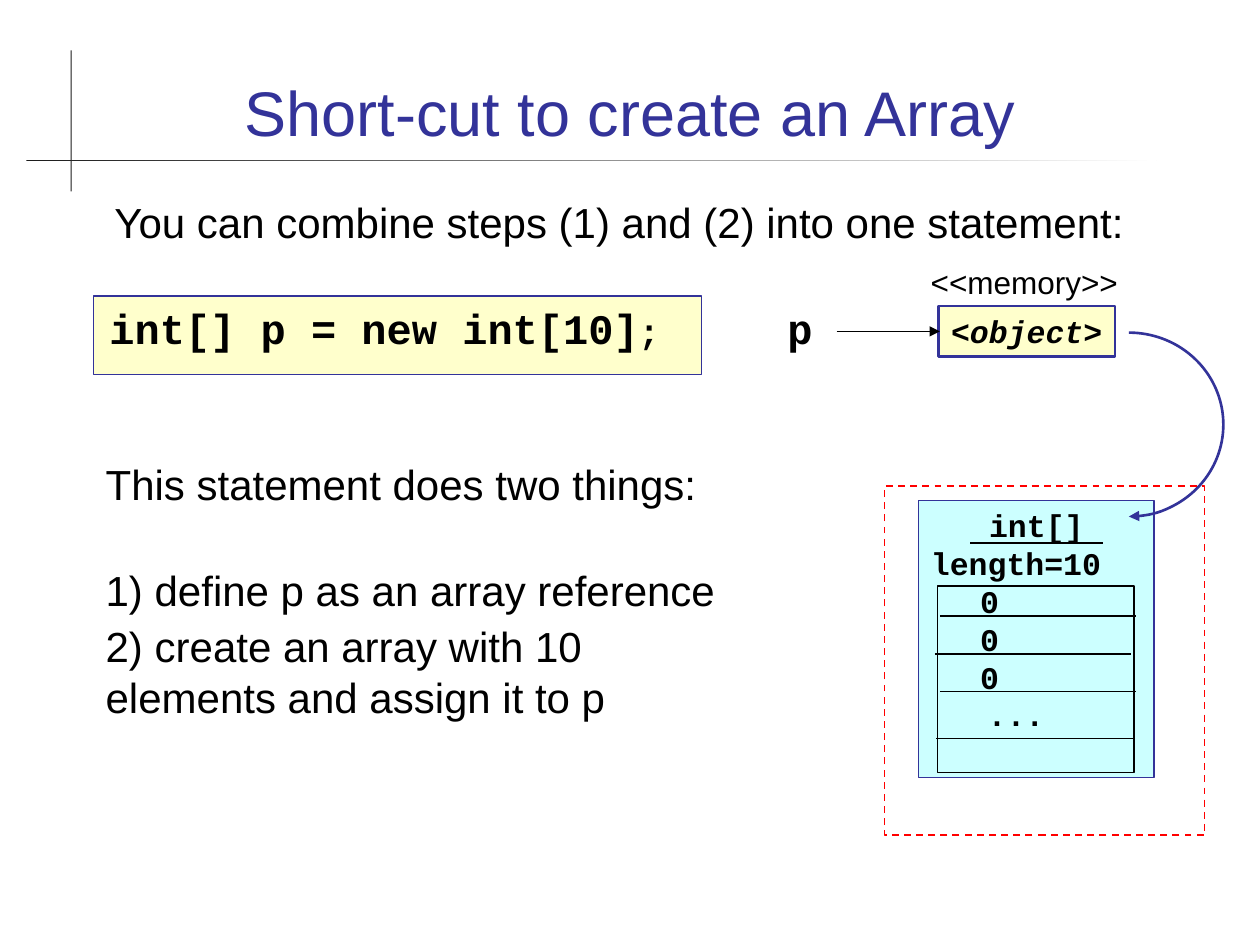
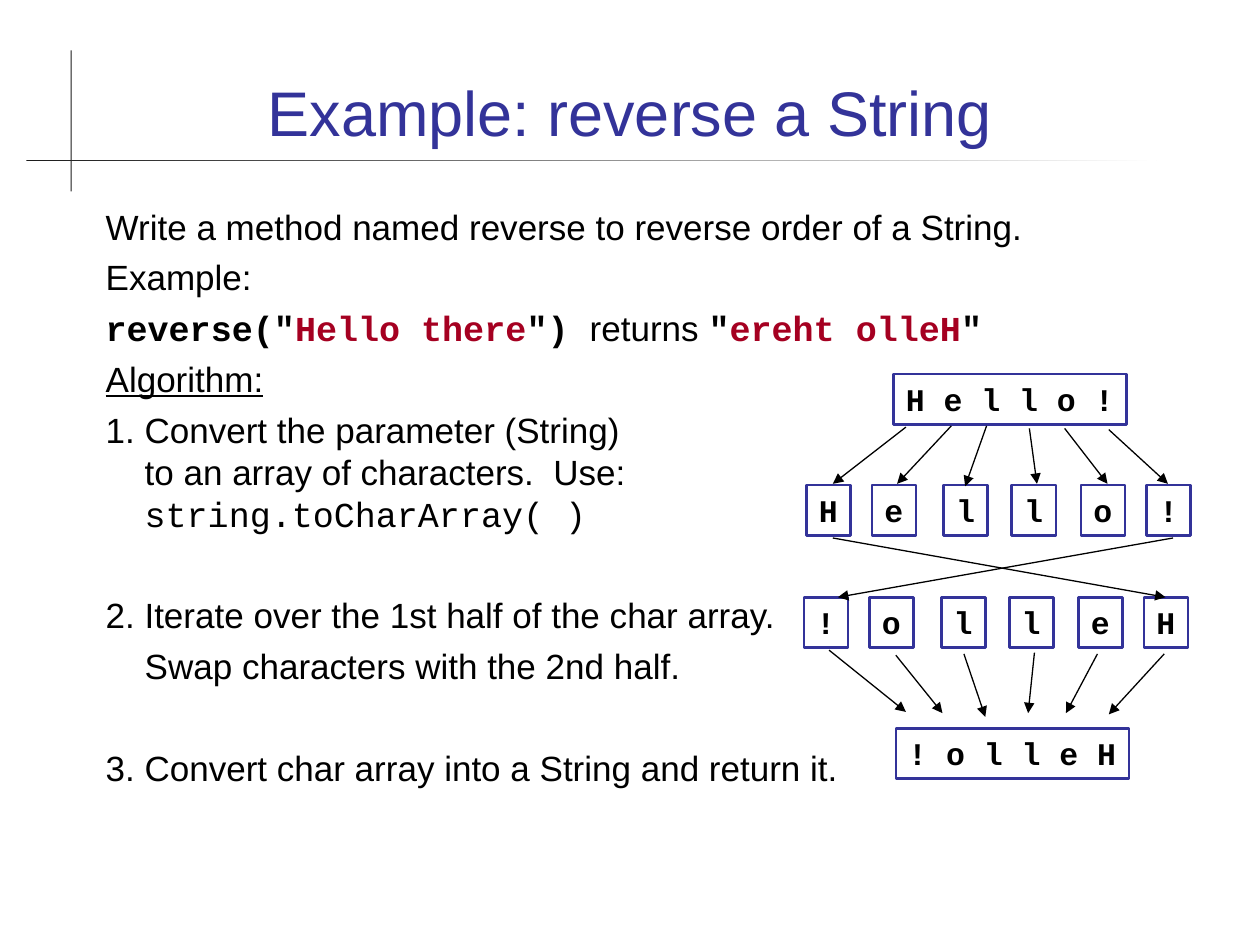
import pptx
import pptx.dml.color
import pptx.enum.dml
import pptx.enum.shapes
import pptx.enum.text
import pptx.oxml
import pptx.oxml.ns
import pptx.util
from pptx.util import Inches

RGBColor = pptx.dml.color.RGBColor
BLACK = RGBColor(0x00, 0x00, 0x00)
WHITE = RGBColor(0xFF, 0xFF, 0xFF)
CHARCOAL = RGBColor(0x1C, 0x1C, 0x1C)
INDIGO = RGBColor(0x33, 0x33, 0x99)
CREAM = RGBColor(0xFF, 0xFF, 0xCC)
CYAN = RGBColor(0xCC, 0xFF, 0xFF)
RED = RGBColor(0xFF, 0x00, 0x00)
CRIMSON = RGBColor(0xA5, 0x00, 0x21)

SHAPES = pptx.enum.shapes.MSO_SHAPE
CENTER = pptx.enum.text.PP_ALIGN.CENTER
LEFT = pptx.enum.text.PP_ALIGN.LEFT
TOP = pptx.enum.text.MSO_ANCHOR.TOP
BOTTOM = pptx.enum.text.MSO_ANCHOR.BOTTOM

THIN, THICK = 0.74, 1.5
CODE = {"name": "Courier New", "bold": True}
PLAIN = {"name": "Arial", "bold": False}
CELL_SIZE = (0.35, 0.4)
CELL_LEFTS = (6.4, 6.92, 7.49, 8.03, 8.58, 9.1)


def para(*runs, before=0, margin=0, indent=0, align=LEFT):
    """Describe one paragraph; a run is a string or a (string, format) pair."""
    return {"runs": runs, "margin": margin, "indent": indent,
            "format": {"space_before": pptx.util.Pt(before), "alignment": align}}


def add_run(paragraph, words, style, color):
    """Add formatted words, turning newlines into line breaks."""
    for number, piece in enumerate(words.split("\n")):
        if number:
            paragraph.add_line_break()
        if piece:
            run = paragraph.add_run()
            run.text = piece
            for attribute, value in style.items():
                setattr(run.font, attribute, value)
            run.font.color.rgb = color


def write(shape, paragraphs, size, style=PLAIN, color=BLACK, wrap=True, anchor=TOP):
    """Fill the text frame of a shape with described paragraphs."""
    frame = shape.text_frame
    frame.word_wrap = wrap
    frame.vertical_anchor = anchor
    for number, content in enumerate(paragraphs):
        paragraph = frame.add_paragraph() if number else frame.paragraphs[0]
        for attribute, value in content["format"].items():
            setattr(paragraph, attribute, value)
        properties = paragraph._p.get_or_add_pPr()
        properties.set("marL", str(Inches(content["margin"])))
        properties.set("indent", str(Inches(content["indent"])))
        for run in content["runs"]:
            words, extra = (run, {}) if isinstance(run, str) else run
            look = {"size": pptx.util.Pt(size), **style, **extra}
            run_color = look.pop("color", color)
            add_run(paragraph, words, look, run_color)


def add_text(slide, box, paragraphs, size, **options):
    """Add a text box."""
    write(slide.shapes.add_textbox(*map(Inches, box)), paragraphs, size, **options)


def add_box(slide, box, fill=None, line=None, width=THIN, kind=SHAPES.RECTANGLE):
    """Add a preset shape with optional fill and outline."""
    shape = slide.shapes.add_shape(kind, *map(Inches, box))
    shape.shadow.inherit = False
    if fill is None:
        shape.fill.background()
    else:
        shape.fill.solid()
        shape.fill.fore_color.rgb = fill
    if line is None:
        shape.line.fill.background()
    else:
        shape.line.color.rgb = line
        shape.line.width = pptx.util.Pt(width)
    return shape


def add_arrowhead(shape):
    """Put a triangle at the end of a line."""
    outline = shape.line._get_or_add_ln()
    outline.append(pptx.oxml.parse_xml(
        '<a:tailEnd %s type="triangle"/>' % pptx.oxml.ns.nsdecls("a")))


def add_line(slide, start, end, arrow=False):
    """Add a thin black line, with an arrowhead if wanted."""
    line = slide.shapes.add_connector(
        pptx.enum.shapes.MSO_CONNECTOR.STRAIGHT, *map(Inches, (*start, *end)))
    line.line.color.rgb = BLACK
    line.line.width = pptx.util.Pt(THIN)
    if arrow:
        add_arrowhead(line)
    line._element.spPr.append(pptx.oxml.parse_xml(
        "<a:effectLst %s/>" % pptx.oxml.ns.nsdecls("a")))


def add_slide(deck, title):
    """Add a blank slide with the crossed rules and a title."""
    slide = deck.slides.add_slide(deck.slide_layouts[6])
    add_box(slide, (0.56, 0.4, 0.01, 1.12), CHARCOAL)
    rule = add_box(slide, (0.21, 1.27, 8.97, 0.01), CHARCOAL)
    rule.fill.gradient()
    rule.fill.gradient_angle = 0
    for stop, color in zip(rule.fill.gradient_stops, (CHARCOAL, WHITE)):
        stop.color.rgb = color
    add_text(slide, (0.67, 0.28, 8.66, 0.95), [para(title, align=CENTER)], 36,
             color=INDIGO, anchor=BOTTOM)
    return slide


def add_code_box(slide, box, *runs, fill=WHITE):
    """Add a framed one-line piece of code."""
    write(add_box(slide, box, fill, INDIGO, THICK), [para(*runs)], 18,
          style=CODE, wrap=False)


def add_array_object(slide):
    """Draw the array in memory with its length and elements."""
    array = add_box(slide, (7.29, 3.97, 1.87, 2.2), CYAN, INDIGO)
    elements = [para("0", margin=0.39) for _ in range(3)]
    write(array, [para((" int[] ", {"underline": True}), align=CENTER),
                  para("length=10"), *elements, para("...", margin=0.45)],
          18, style=CODE)
    reference = add_box(slide, (8.21, 2.64, 1.5, 1.46), None, INDIGO, THICK, SHAPES.ARC)
    reference.adjustments[0] = 162  # top of the circle
    reference.adjustments[1] = 54   # bottom of the circle
    add_arrowhead(reference)
    border = add_box(slide, (7.02, 3.86, 2.54, 2.77), None, RED, 0.99)
    border.line.dash_style = pptx.enum.dml.MSO_LINE.DASH


def build_shortcut(deck):
    """Slide on declaring and creating an array in one statement."""
    slide = add_slide(deck, "Short-cut to create an Array")
    statement = add_box(slide, (0.74, 2.35, 4.83, 0.62), CREAM, INDIGO)
    write(statement, [para("int[] p = new int[10]", (";", {"size": pptx.util.Pt(20)}),
                           margin=0.25, indent=-0.22)], 24, style=CODE)
    add_text(slide, (0.81, 1.51, 8.39, 0.5),
             [para("You can combine steps (1) and (2) into one statement:")], 24)
    add_text(slide, (0.74, 3.59, 5.25, 2.19), [
        para("This statement does two things:"),
        para("1) define p as an array reference", before=32),
        para("2) create an array with 10 elements and assign it to p", before=3)], 24)
    add_array_object(slide)
    add_code_box(slide, (7.45, 2.43, 1.4, 0.4), "<", ("object", {"italic": True}), ">",
                 fill=CREAM)
    add_text(slide, (7, 2.04, 2.26, 0.4), [para("<<memory>>", align=CENTER)], 18)
    add_box(slide, (7.44, 4.65, 1.56, 1.48), None, BLACK)
    for left, y in ((7.46, 4.89), (7.42, 5.19), (7.46, 5.49), (7.43, 5.86)):
        add_line(slide, (left, y), (left + 1.56, y))
    add_line(slide, (6.64, 2.63), (7.46, 2.63), arrow=True)
    add_text(slide, (6.15, 2.35, 0.4, 0.5), [para("p")], 24, style=CODE, wrap=False)


def add_characters(slide, word, top, shift=0):
    """Draw a row of single-character cells."""
    for character, left in zip(word, CELL_LEFTS):
        add_code_box(slide, (left + shift, top, *CELL_SIZE), character)


def add_algorithm(slide):
    """Write the task and the numbered steps."""
    crimson = {"color": CRIMSON, **CODE}
    hanging = {"margin": 0.31, "indent": -0.31}
    add_text(slide, (0.74, 1.58, 7.98, 4.73), [
        para("Write a method named reverse to reverse order of a String."),
        para("Example:", before=5),
        para(('reverse("', CODE), ("Hello there", crimson), ('") ', CODE), "returns ",
             ('"', CODE), ("ereht olleH", crimson), ('"', CODE), before=5),
        para(("Algorithm:", {"underline": True}), before=5),
        para("1. Convert the parameter (String)\nto an array of characters.  Use:\n",
             ("string.toCharArray( )", {"name": "Courier New"}), before=5, **hanging),
        para("2. Iterate over the 1st half of the char array.", before=34, **hanging),
        para("Swap characters with the 2nd half.", before=5, margin=0.31),
        para("3. Convert char array into a String and return it.", before=34, **hanging),
    ], 20)


def build_reverse(deck):
    """Slide on reversing a string through a character array."""
    slide = add_slide(deck, "Example: reverse a String")
    add_algorithm(slide)
    add_code_box(slide, (7.09, 2.97, 1.85, 0.4), "H e l l o !")
    add_characters(slide, "Hello!", 3.85)
    add_characters(slide, "!olleH", 4.74, shift=-0.02)
    add_code_box(slide, (7.11, 5.78, 1.85, 0.4), "! o l l e H")
    split = (((7.19, 3.39), (6.61, 3.84)), ((7.55, 3.38), (7.12, 3.84)),
             ((7.83, 3.38), (7.66, 3.86)), ((8.17, 3.4), (8.23, 3.84)),
             ((8.45, 3.4), (8.79, 3.84)), ((8.8, 3.41), (9.27, 3.84)))
    swap = (((6.61, 4.27), (9.25, 4.74)), ((9.31, 4.27), (6.65, 4.74)))
    join = (((6.58, 5.16), (7.19, 5.65)), ((7.11, 5.2), (7.48, 5.66)),
            ((7.65, 5.19), (7.82, 5.69)), ((8.21, 5.18), (8.16, 5.66)),
            ((8.71, 5.19), (8.46, 5.66)), ((9.24, 5.19), (8.8, 5.67)))
    for start, end in split + swap + join:
        add_line(slide, start, end, arrow=True)


def main():
    """Build and save the deck."""
    deck = pptx.Presentation()
    deck.slide_width, deck.slide_height = Inches(10), Inches(7.5)
    build_shortcut(deck)
    build_reverse(deck)
    deck.save("out.pptx")


main()
